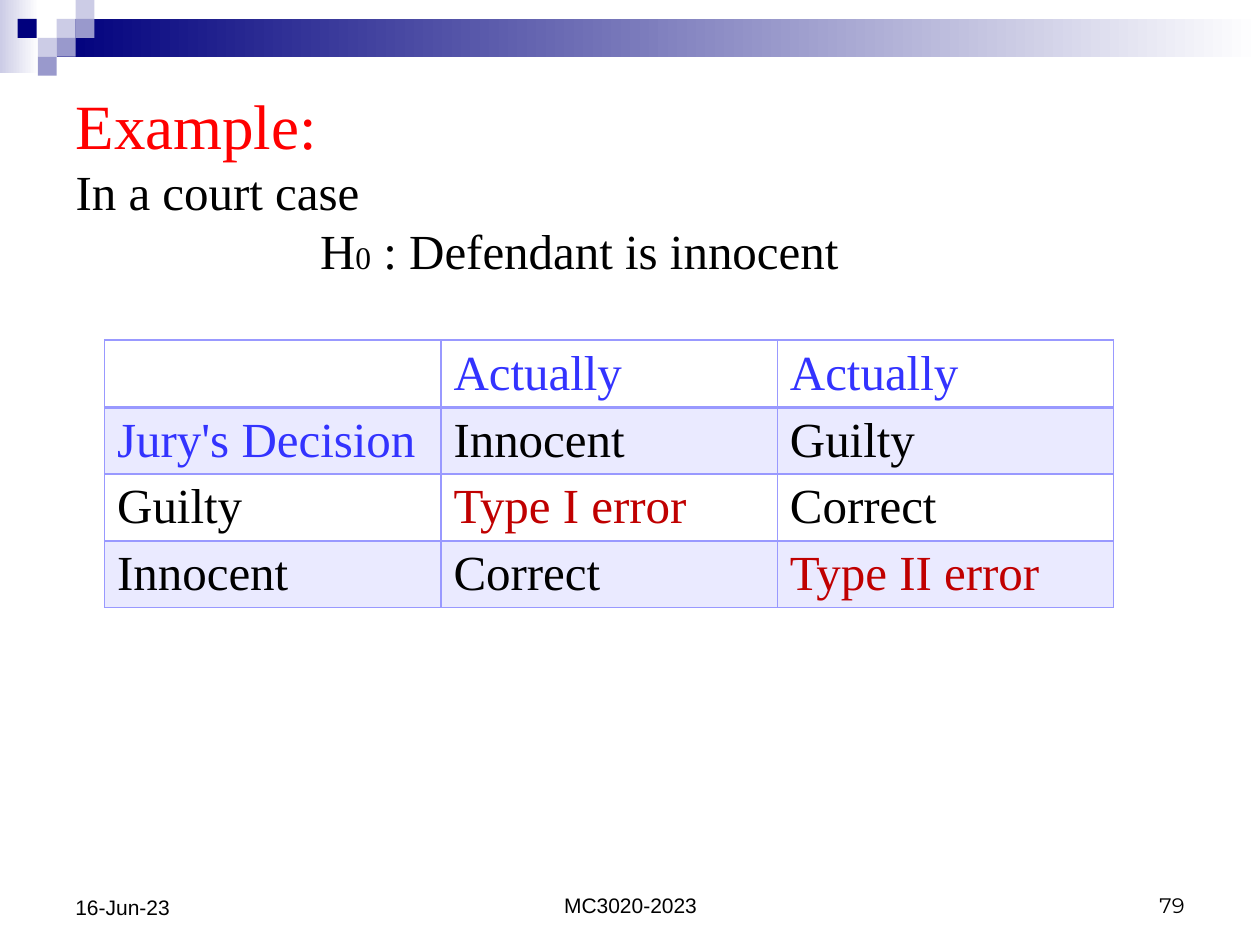
from lxml import etree
from pptx import Presentation
from pptx.dml.color import RGBColor
from pptx.enum.shapes import MSO_SHAPE
from pptx.enum.text import MSO_ANCHOR, MSO_AUTO_SIZE, PP_ALIGN
from pptx.oxml.ns import qn
from pptx.util import Inches, Pt

RECTANGLE = MSO_SHAPE.RECTANGLE
MIDDLE, BOTTOM = MSO_ANCHOR.MIDDLE, MSO_ANCHOR.BOTTOM
LEFT, CENTER, RIGHT = PP_ALIGN.LEFT, PP_ALIGN.CENTER, PP_ALIGN.RIGHT
NO_AUTOFIT = MSO_AUTO_SIZE.NONE

SERIF = "Times New Roman"
NAVY, LAVENDER, VIOLET = "00007D", "CCCCE6", "9999CC"
BLACK, WHITE, RED = "000000", "FFFFFF", "FF0000"
BLUE, DARK_RED, GRID = "3333FF", "C00000", "9999FF"


def color(hex_code):
    return RGBColor.from_string(hex_code)


def format_run(run, size, font_name, hex_code):
    run.font.size = Pt(size)
    run.font.name = font_name
    run.font.color.rgb = color(hex_code)


presentation = Presentation()
presentation.slide_width = Inches(10)
presentation.slide_height = Inches(7.5)
slide = presentation.slides.add_slide(presentation.slide_layouts[5])

# Header decoration: two gradient bands, then small squares
square = 0.15
decoration = [
    (0, 0, 0.31, 0.58, LAVENDER, True),
    (0.45, 0.15, 9.55, 0.3, NAVY, True),
]
for left, top, fill in [
    (0.45, 0.15, LAVENDER), (0.6, 0, LAVENDER), (0.6, 0.15, VIOLET),
    (0.3, 0.3, LAVENDER), (0.14, 0.15, NAVY), (0.45, 0.3, VIOLET),
    (0.3, 0.45, VIOLET),
]:
    decoration.append((left, top, square, square, fill, False))

for left, top, width, height, fill, fades in decoration:
    shape = slide.shapes.add_shape(
        RECTANGLE, Inches(left), Inches(top), Inches(width), Inches(height))
    shape.shadow.inherit = False
    shape.line.fill.background()
    if fades:
        shape.fill.gradient()
        shape.fill.gradient_angle = 0
        for stop, stop_color in zip(shape.fill.gradient_stops, (fill, WHITE)):
            stop.color.rgb = color(stop_color)
    else:
        shape.fill.solid()
        shape.fill.fore_color.rgb = color(fill)

# Title with the hypothesis
title = slide.shapes.title
title.left, title.top = Inches(0.5), Inches(0.7)
title.width, title.height = Inches(9), Inches(1.5)
title_frame = title.text_frame
title_frame.auto_size = NO_AUTOFIT
title_frame.vertical_anchor = MIDDLE
title_lines = [
    [("Example:", 36, RED)],
    [("In a court case", 28, BLACK)],
    [("H", 28, BLACK), ("0", 18, BLACK), (" : Defendant is innocent", 28, BLACK)],
]
for index, line in enumerate(title_lines):
    paragraph = title_frame.paragraphs[0] if index == 0 else title_frame.add_paragraph()
    paragraph.alignment = LEFT
    for text, size, hex_code in line:
        run = paragraph.add_run()
        run.text = text
        format_run(run, size, SERIF, hex_code)
# Indent the hypothesis line
paragraph._p.get_or_add_pPr().set("marL", str(Inches(1.94)))

# Decision table
rows = [
    ["", "Actually", "Actually"],
    ["Jury's Decision", "Innocent", "Guilty"],
    ["Guilty", "Type I error", "Correct"],
    ["Innocent", "Correct", "Type II error"],
]
table = slide.shapes.add_table(
    4, 3, Inches(0.83), Inches(2.7), Inches(8.01), Inches(2.12)).table
for column in table.columns:
    column.width = Inches(2.67)
for row_index, row in enumerate(rows):
    table.rows[row_index].height = Inches(0.53)
    for column_index, text in enumerate(row):
        cell = table.cell(row_index, column_index)

        # Borders, heavier under the header row
        properties = cell._tc.get_or_add_tcPr()
        for side in ("lnL", "lnR", "lnT", "lnB"):
            heavy = (row_index, side) in ((0, "lnB"), (1, "lnT"))
            border = etree.SubElement(
                properties, qn("a:" + side), w=str(Pt(2 if heavy else 1)))
            border_fill = etree.SubElement(border, qn("a:solidFill"))
            etree.SubElement(border_fill, qn("a:srgbClr"), val=GRID)

        # Translucent band on every second row
        if row_index % 2:
            cell.fill.solid()
            cell.fill.fore_color.rgb = color(GRID)
            band_color = properties.find(qn("a:solidFill")).find(qn("a:srgbClr"))
            etree.SubElement(band_color, qn("a:alpha"), val="20000")
        else:
            cell.fill.background()

        if text:
            cell.text_frame.text = text
            if text in ("Actually", "Jury's Decision"):
                text_color = BLUE
            elif text.endswith("error"):
                text_color = DARK_RED
            else:
                text_color = BLACK
            run = cell.text_frame.paragraphs[0].runs[0]
            format_run(run, 28, SERIF, text_color)
            run.font.bold = False

# Footer: date, slide number, course
for text, left, width, height, alignment, font_name in [
    ("16-Jun-23", 0.5, 2.33, 0.52, LEFT, "Arial"),
    ("79", 7.17, 2.33, 0.5, RIGHT, "Montserrat"),
    ("MC3020-2023", 3.42, 3.17, 0.5, CENTER, "Arial"),
]:
    box = slide.shapes.add_textbox(
        Inches(left), Inches(6.83), Inches(width), Inches(height))
    box.text_frame.word_wrap = True
    box.text_frame.vertical_anchor = BOTTOM
    box.text_frame.text = text
    paragraph = box.text_frame.paragraphs[0]
    paragraph.alignment = alignment
    format_run(paragraph.runs[0], 12, font_name, BLACK)

presentation.save("out.pptx")
